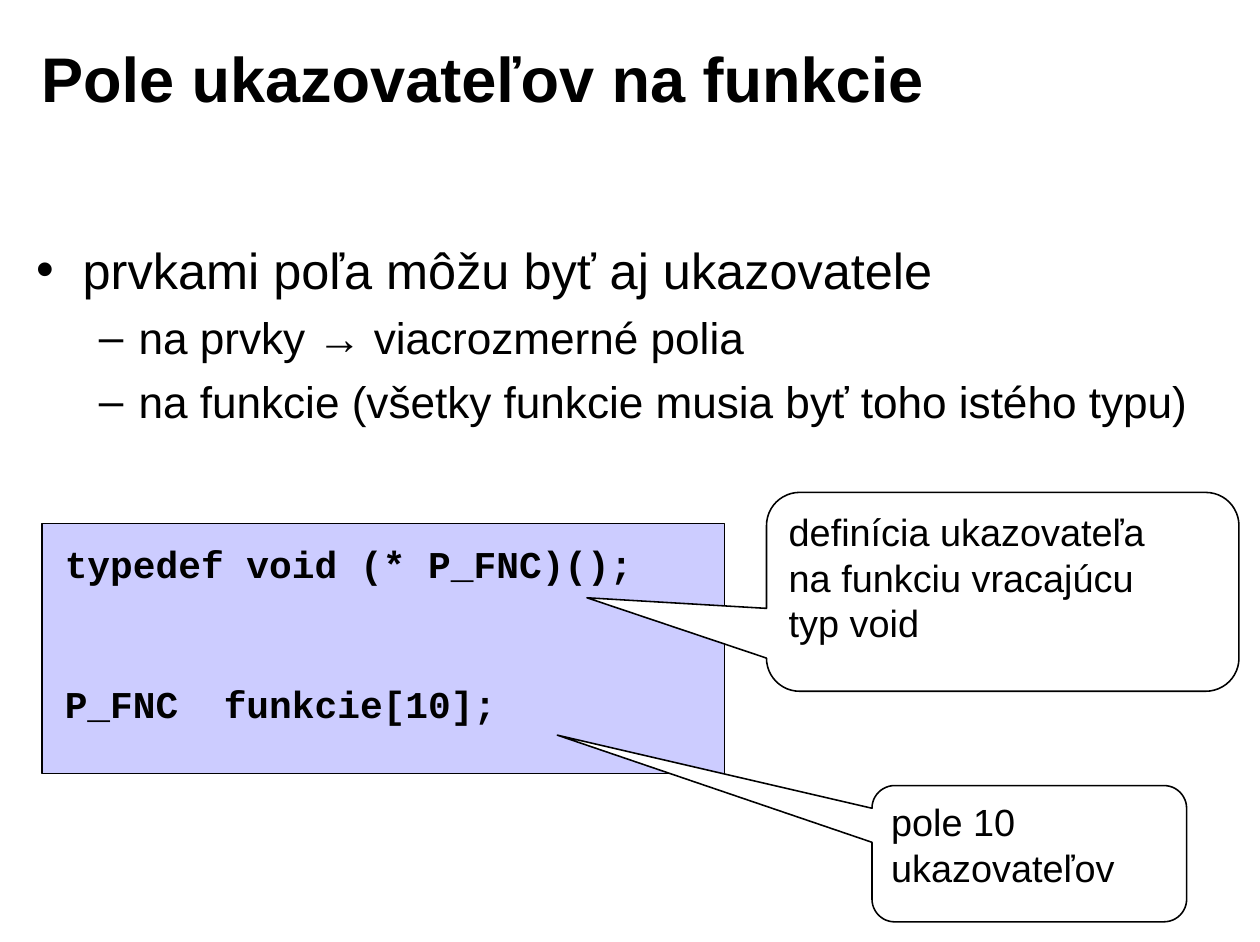
from pptx import Presentation
from pptx.dml.color import RGBColor
from pptx.enum.shapes import MSO_SHAPE as SHAPE
from pptx.enum.text import MSO_ANCHOR as ANCHOR, MSO_AUTO_SIZE as AUTO, PP_ALIGN as ALIGN
from pptx.util import Cm, Pt

BLACK, WHITE, LILAC = "000000", "FFFFFF", "CCCCFF"
TITLE = {"name": "Arial", "size": Pt(40), "bold": True}
CODE = {"name": "Courier New", "size": Pt(24), "bold": True}
NOTE = {"name": "Arial", "size": Pt(24), "bold": False}
# level: (font size in points, left margin, hanging indent, space before in points)
LEVELS = {0: (32, Cm(1.04), Cm(-1.04), 8), 1: (28, Cm(2.29), Cm(-0.89), 7)}


def rgb(value):
    return RGBColor.from_string(value)


def set_attrs(obj, values):
    for name, value in values.items():
        setattr(obj, name, value)


def place(s, box):
    set_attrs(s, dict(zip(("left", "top", "width", "height"), map(Cm, box))))


def write(s, lines, font, anchor=ANCHOR.TOP, gap=0):
    """Write one left-aligned paragraph per line, with gap points between them."""
    tf = s.text_frame
    set_attrs(tf, {
        "word_wrap": True, "auto_size": AUTO.NONE, "vertical_anchor": anchor,
        "margin_left": Cm(0.28), "margin_right": Cm(0.28),
        "margin_top": Cm(0.15), "margin_bottom": Cm(0.15),
    })
    for i, line in enumerate(lines):
        p = tf.paragraphs[0] if i == 0 else tf.add_paragraph()
        p.alignment = ALIGN.LEFT
        p.space_before = Pt(gap if i else 0)
        r = p.add_run()
        r.text = line
        set_attrs(r.font, font)
        r.font.color.rgb = rgb(BLACK)
    return tf.paragraphs


def add_list(s, items):
    paragraphs = write(s, [text for _, text in items], {"name": "Arial"})
    for i, (p, (level, _)) in enumerate(zip(paragraphs, items)):
        size, margin, indent, before = LEVELS[level]
        p.level = level
        p.space_before = Pt(before if i else 0)
        pPr = p._p.get_or_add_pPr()
        pPr.set("marL", str(margin))
        pPr.set("indent", str(indent))
        p.runs[0].font.size = Pt(size)


def add_box(slide, kind, box, fill, line_width):
    s = slide.shapes.add_shape(kind, *map(Cm, box))
    s.shadow.inherit = False
    s.fill.solid()
    s.fill.fore_color.rgb = rgb(fill)
    s.line.color.rgb = rgb(BLACK)
    s.line.width = Pt(line_width)
    return s


def add_callout(slide, box, tip, lines):
    """Add a rounded callout; tip is its offset from the centre in widths and heights."""
    s = add_box(slide, SHAPE.ROUNDED_RECTANGULAR_CALLOUT, box, WHITE, 1)
    s.adjustments[0], s.adjustments[1] = tip
    write(s, lines, NOTE)


def main():
    prs = Presentation()
    prs.slide_width, prs.slide_height = Cm(28.19), Cm(21.08)
    slide = prs.slides.add_slide(prs.slide_layouts[1])
    title, body = slide.placeholders

    place(title, (0.64, 0.43, 22.63, 2.59))
    write(title, ["Pole ukazovateľov na funkcie"], TITLE, ANCHOR.MIDDLE)

    place(body, (0.53, 5.2, 27.08, 5))
    add_list(body, [
        (0, "prvkami poľa môžu byť aj ukazovatele"),
        (1, "na prvky → viacrozmerné polia"),
        (1, "na funkcie (všetky funkcie musia byť toho istého typu)"),
    ])

    add_box(slide, SHAPE.RECTANGLE, (0.94, 11.71, 15.27, 5.61), LILAC, 0.75)
    code = slide.shapes.add_textbox(*map(Cm, (1.17, 11.94, 15.04, 4.34)))
    write(code, ["typedef void (* P_FNC)();", "P_FNC  funkcie[10];"], CODE, gap=60)

    add_callout(slide, (17.15, 11.02, 10.57, 4.45), (-0.88, 0.03),
                ["definícia ukazovateľa", "na funkciu vracajúcu", "typ void"])
    add_callout(slide, (19.51, 17.58, 7.04, 3.05), (-1.5, -0.87),
                ["pole 10 ukazovateľov"])

    prs.save("out.pptx")


if __name__ == "__main__":
    main()
